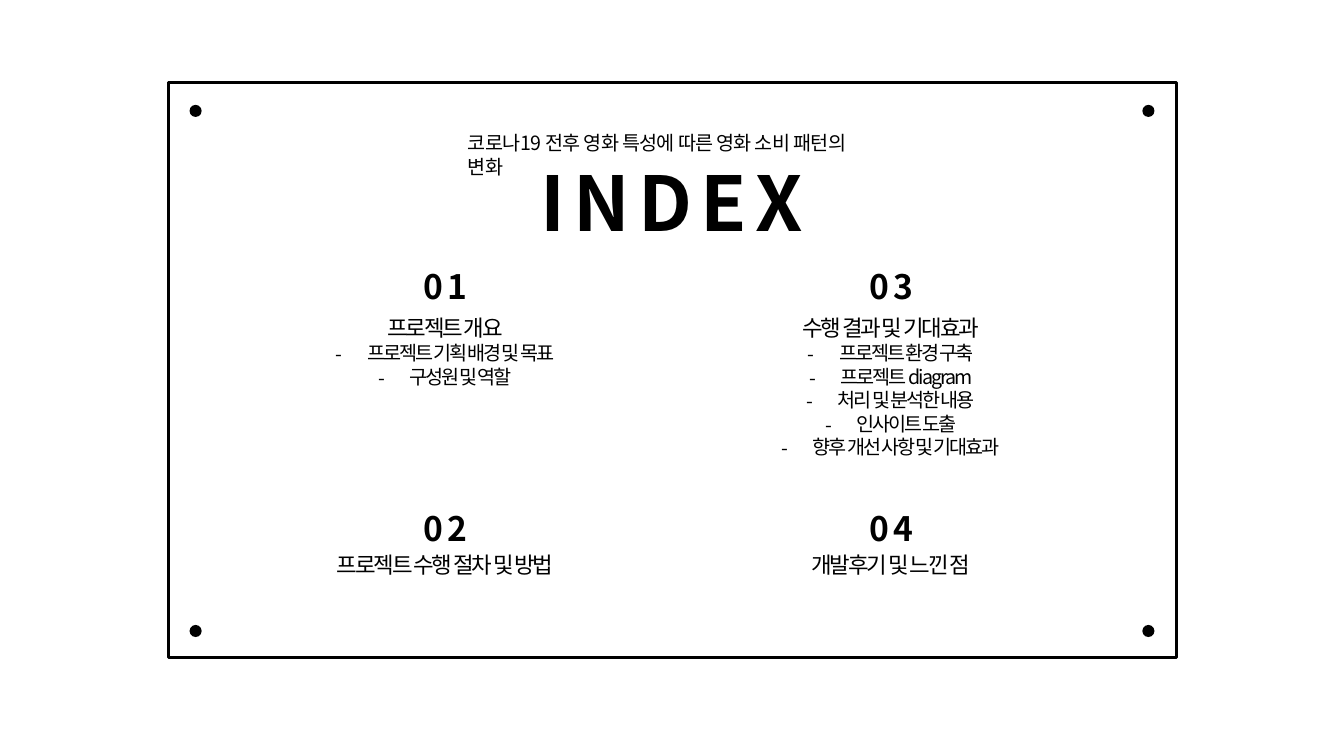
import itertools

import lxml.etree
import pptx
import pptx.dml.color
import pptx.enum.shapes
import pptx.enum.text
import pptx.oxml.ns
import pptx.util

PX = 9144  # EMU per px, 100 px to the inch
qn = pptx.oxml.ns.qn


def color(hex_string):
    return pptx.dml.color.RGBColor.from_string(hex_string)


class IndexSlide:
    font = "Noto Sans CJK KR"
    ink = "000000"

    def __init__(self, deck):
        self.slide = deck.slides.add_slide(deck.slide_layouts[6])

    def shape(self, kind, box, fill=None, line_width=None):
        preset = getattr(pptx.enum.shapes.MSO_SHAPE, kind)
        item = self.slide.shapes.add_shape(preset, *(n * PX for n in box))
        item.shadow.inherit = False
        if fill:
            item.fill.solid()
            item.fill.fore_color.rgb = color(fill)
        else:
            item.fill.background()
        if line_width:
            item.line.color.rgb = color(self.ink)
            item.line.width = pptx.util.Pt(line_width)
        else:
            item.line.fill.background()

    def text_box(self, box):
        frame = self.slide.shapes.add_textbox(*(n * PX for n in box)).text_frame
        frame.word_wrap = True
        frame.auto_size = pptx.enum.text.MSO_AUTO_SIZE.SHAPE_TO_FIT_TEXT
        return frame

    def add_text(self, paragraph, text, size=14, bold=False, spacing=0, align="CENTER", dash=False):
        paragraph.alignment = getattr(pptx.enum.text.PP_ALIGN, align)
        run = paragraph.add_run()
        run.text = text
        run.font.size = pptx.util.Pt(size)
        run.font.bold = bold
        run.font.color.rgb = color(self.ink)
        run.font.name = self.font
        properties = run.font._element
        properties.set("spc", str(int(spacing * 100)))
        lxml.etree.SubElement(properties, qn("a:ea"), typeface=self.font)
        if dash:
            self.dash(paragraph)

    def dash(self, paragraph):
        layout = paragraph._p.get_or_add_pPr()
        layout.set("marL", str(31 * PX))
        layout.set("indent", str(-31 * PX))
        bullet_color = lxml.etree.SubElement(layout, qn("a:buClr"))
        lxml.etree.SubElement(bullet_color, qn("a:srgbClr"), val=self.ink)
        lxml.etree.SubElement(layout, qn("a:buFont"), typeface=self.font)
        lxml.etree.SubElement(layout, qn("a:buChar"), char="-")

    def label(self, box, text, **style):
        self.add_text(self.text_box(box).paragraphs[0], text, **style)

    def chapter(self, left, number_top, body_top, body_height, number, title, topics):
        self.label((left + 68, number_top, 316, 50), number, size=24, bold=True, spacing=3)
        body = self.text_box((left, body_top, 451, body_height))
        self.add_text(body.paragraphs[0], title, size=16, spacing=-1.5)
        for topic in topics:
            self.add_text(body.add_paragraph(), topic, spacing=-1.5, dash=True)


def main():
    deck = pptx.Presentation()
    deck.slide_width, deck.slide_height = 1333 * PX, 750 * PX
    index = IndexSlide(deck)

    # Frame with a dot in each corner
    index.shape("RECTANGLE", (167, 82, 1000, 570), line_width=2)
    for top, left in itertools.product((104, 620), (188, 1133)):
        index.shape("OVAL", (left, top, 12, 12), fill=index.ink)

    # Heading
    index.label((441, 150, 451, 101), "INDEX", size=54, bold=True, spacing=6)
    index.label((454, 125, 425, 34), "코로나19 전후 영화 특성에 따른 영화 소비 패턴의 변화",
                spacing=-0.5, align="LEFT")

    # Chapters, numbered down each column
    chapters = [
        ("프로젝트 개요", ["프로젝트 기획 배경 및 목표", "구성원 및 역할"]),
        ("프로젝트 수행 절차 및 방법", []),
        ("수행 결과 및 기대효과", ["프로젝트 환경 구축", "프로젝트 diagram", "처리 및 분석한 내용",
                          "인사이트 도출", "향후 개선 사항 및 기대효과"]),
        ("개발후기 및 느낀 점", []),
    ]
    row_tops = [(259, 307), (499, 542)]
    for i, (title, topics) in enumerate(chapters):
        column, row = divmod(i, 2)
        number_top, body_top = row_tops[row]
        index.chapter(216 + 442 * column, number_top, body_top, 37 + 24 * len(topics),
                      f"{i + 1:02}", title, topics)

    deck.save("out.pptx")


if __name__ == "__main__":
    main()
